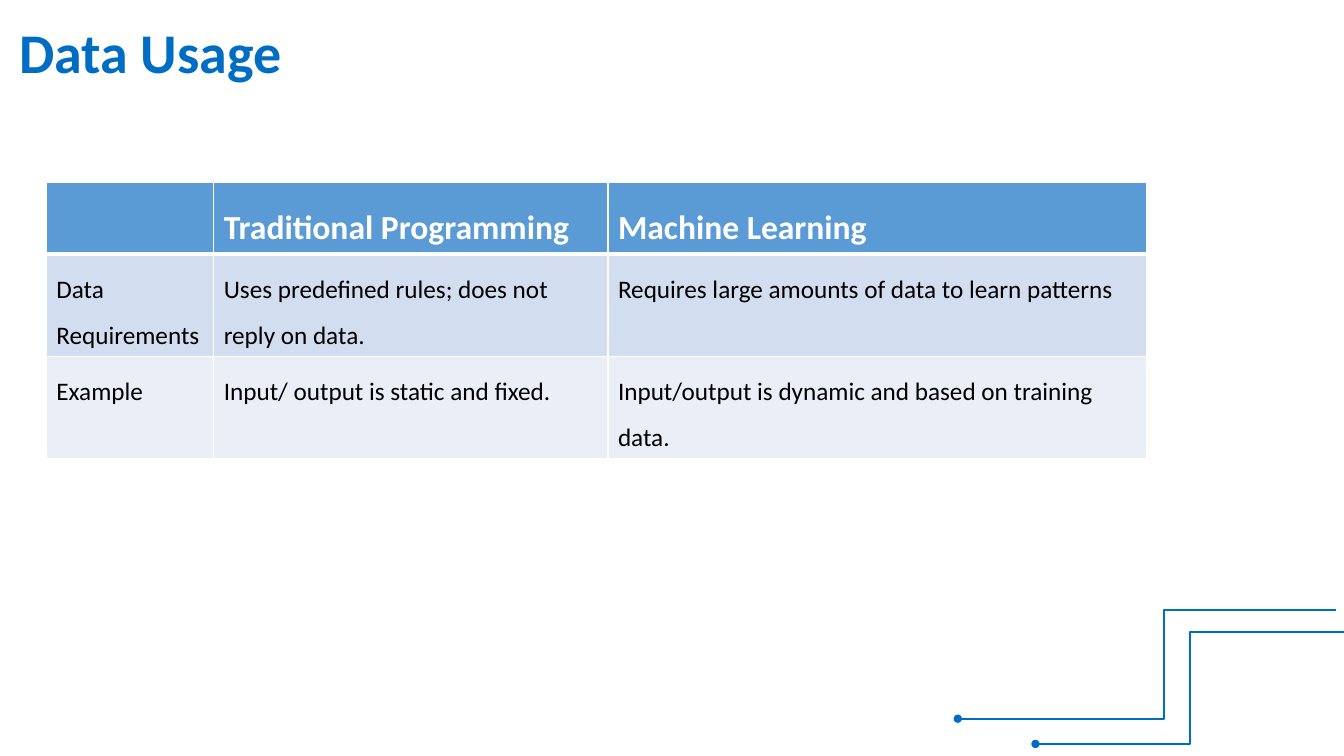
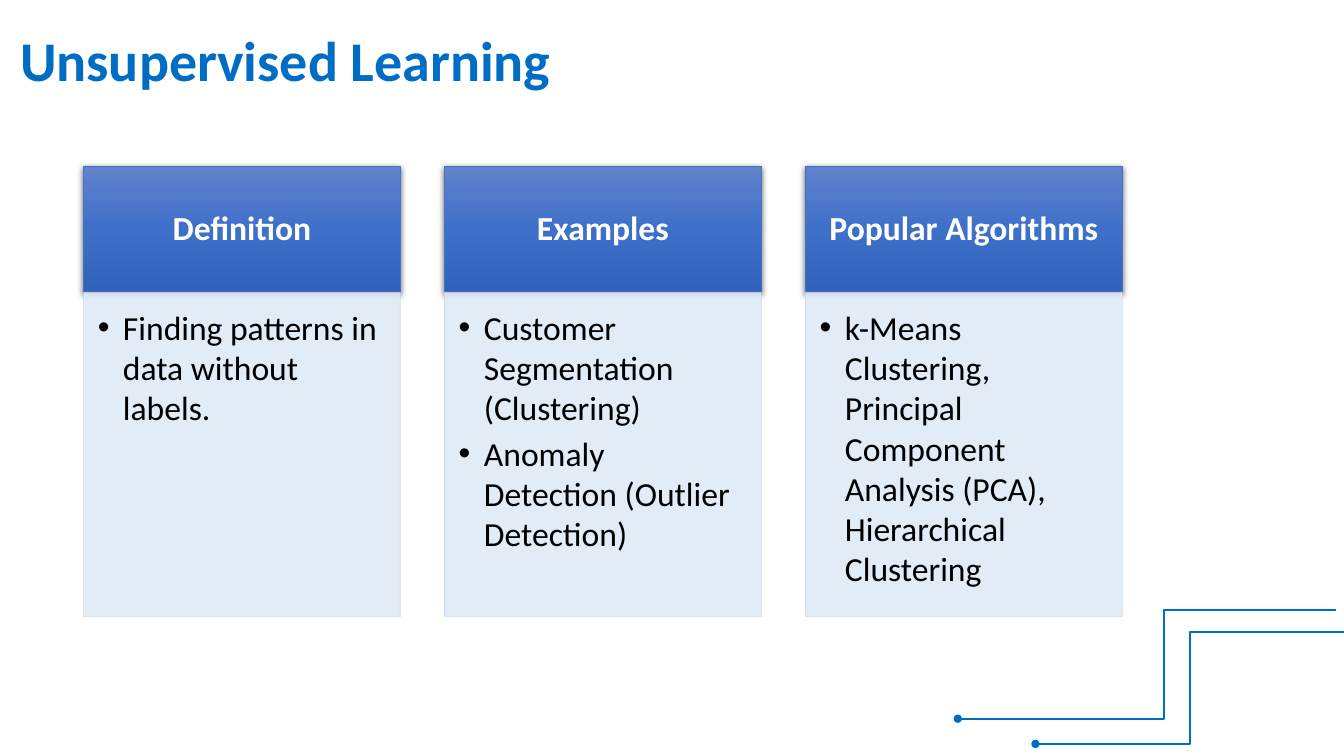
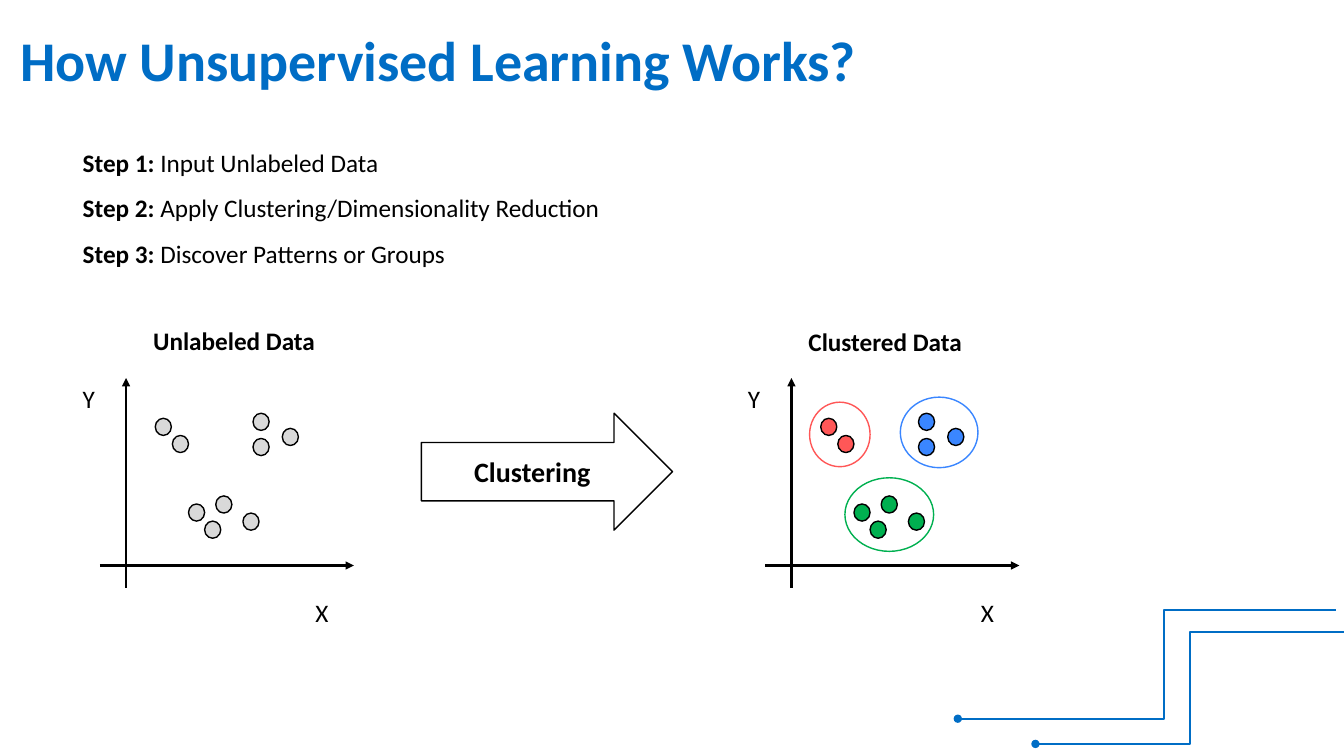
import pptx
import pptx.util
import pptx.dml.color
import pptx.enum.shapes
import pptx.enum.text
import pptx.oxml.ns
import lxml.etree

Inches = pptx.util.Inches
Pt = pptx.util.Pt
RGBColor = pptx.dml.color.RGBColor
Shape = pptx.enum.shapes.MSO_SHAPE
Connector = pptx.enum.shapes.MSO_CONNECTOR
Align = pptx.enum.text.PP_ALIGN
Anchor = pptx.enum.text.MSO_ANCHOR
AutoSize = pptx.enum.text.MSO_AUTO_SIZE
qn = pptx.oxml.ns.qn

FONT = "Calibri"
BLUE = RGBColor(0x00, 0x6D, 0xC5)
BLACK = RGBColor(0x00, 0x00, 0x00)
WHITE = RGBColor(0xFF, 0xFF, 0xFF)
TABLE_HEADER = RGBColor(0x5B, 0x9B, 0xD5)
TABLE_BANDS = [RGBColor(0xD2, 0xDE, 0xEF), RGBColor(0xEA, 0xEF, 0xF7)]
CARD_GRADIENT = [
    (0, RGBColor(0x61, 0x83, 0xCB)),
    (50, RGBColor(0x3E, 0x70, 0xCA)),
    (100, RGBColor(0x30, 0x62, 0xBB)),
]
CARD_EDGE = RGBColor(0x44, 0x72, 0xC4)
CARD_BODY = RGBColor(0xDE, 0xEB, 0xF7)
CARD_BODY_EDGE = RGBColor(0xCF, 0xD5, 0xEA)
GREY = RGBColor(0xD9, 0xD9, 0xD9)
RED = RGBColor(0xFF, 0x57, 0x57)
GREEN = RGBColor(0x00, 0xB0, 0x50)
CLUSTER_BLUE = RGBColor(0x3A, 0x86, 0xFF)

CIRCUIT_LINES = [
    ((13.25, 6.05), (9.5, 7.13), 0.455),
    ((13.33, 6.27), (10.27, 7.38), 0.5),
]

TABLE_COLUMNS = [1.66, 3.91, 5.34]
TABLE_ROWS = [
    ["", "Traditional Programming", "Machine Learning"],
    [
        "Data Requirements",
        "Uses predefined rules; does not reply on data.",
        "Requires large amounts of data to learn patterns",
    ],
    [
        "Example",
        "Input/ output is static and fixed.",
        "Input/output is dynamic and based on training data.",
    ],
]

CARDS = [
    ("Definition", ["Finding patterns in data without labels."]),
    (
        "Examples",
        ["Customer Segmentation (Clustering)", "Anomaly Detection (Outlier Detection)"],
    ),
    (
        "Popular Algorithms",
        ["k-Means Clustering, Principal Component Analysis (PCA), Hierarchical Clustering"],
    ),
]

STEPS = [
    ("Step 1: ", "Input Unlabeled Data"),
    ("Step 2: ", "Apply Clustering/Dimensionality Reduction"),
    ("Step 3: ", "Discover Patterns or Groups"),
]

CLUSTERS = [
    (RED, [(1.54, 4.15), (1.71, 4.32)], (1.43, 3.99, 0.6, 0.64)),
    (CLUSTER_BLUE, [(2.51, 4.1), (2.51, 4.35), (2.8, 4.25)], (2.33, 3.94, 0.77, 0.7)),
    (GREEN, [(1.87, 5), (2.03, 5.17), (2.14, 4.92), (2.41, 5.09)], (1.78, 4.74, 0.88, 0.73)),
]

PLOTS = [
    (0, "Unlabeled Data", (1.42, 3.18, 1.95, 0.4), False),
    (6.6, "Clustered Data", (7.92, 3.19, 1.83, 0.4), True),
]


def inches(values):
    return [Inches(value) for value in values]


def set_font(paragraph, size, color, bold=False):
    font = paragraph.font
    font.name, font.size, font.bold = FONT, Pt(size), bold
    font.color.rgb = color


def add_element(parent, tag, **attributes):
    element = lxml.etree.SubElement(parent, qn(tag))
    for name, value in attributes.items():
        element.set(name, str(value))
    return element


def set_bullet(paragraph, character=None, indent=0):
    properties = paragraph._p.get_or_add_pPr()
    properties.set("marL", str(Inches(indent)))
    properties.set("indent", str(-Inches(indent)))
    if character:
        add_element(properties, "a:buFont", typeface="Arial")
        add_element(properties, "a:buChar", char=character)
    else:
        add_element(properties, "a:buNone")


def add_line(slide, kind, start, end, color, tail):
    line = slide.shapes.add_connector(kind, *inches(start + end))
    line.line.color.rgb = color
    line.line.width = Pt(1.5)
    add_element(line.line._get_or_add_ln(), "a:tailEnd", type=tail)
    add_element(line._element.spPr, "a:effectLst")
    return line


def add_shape(slide, preset, box, fill, edge, width=1):
    shape = slide.shapes.add_shape(preset, *inches(box))
    shape.shadow.inherit = False
    if fill is None:
        shape.fill.background()
    else:
        shape.fill.solid()
        shape.fill.fore_color.rgb = fill
    shape.line.color.rgb = edge
    shape.line.width = Pt(width)
    return shape


def add_label(slide, box, text, bold=False, wrap=True):
    label = slide.shapes.add_textbox(*inches(box))
    label.text_frame.word_wrap = wrap
    label.text_frame.auto_size = AutoSize.SHAPE_TO_FIT_TEXT
    label.text_frame.text = text
    set_font(label.text_frame.paragraphs[0], 18, BLACK, bold)


def set_margins(frame, margins):
    (frame.margin_left, frame.margin_top,
     frame.margin_right, frame.margin_bottom) = inches(margins)


def place(shape, box):
    shape.left, shape.top, shape.width, shape.height = inches(box)


def add_slide(presentation, layout_index, title, left, top):
    slide = presentation.slides.add_slide(presentation.slide_layouts[layout_index])
    place(slide.shapes.title, (left, top, 10.92, 0.77))
    frame = slide.shapes.title.text_frame
    frame.text = title
    frame.auto_size = AutoSize.NONE
    frame.vertical_anchor = Anchor.TOP
    frame.paragraphs[0].alignment = Align.LEFT
    set_font(frame.paragraphs[0], 40, BLUE, True)
    for start, end, bend in CIRCUIT_LINES:
        line = add_line(slide, Connector.ELBOW, start, end, BLUE, "oval")
        guides = line._element.spPr.find(qn("a:prstGeom")).find(qn("a:avLst"))
        add_element(guides, "a:gd", name="adj1", fmla=f"val {round(bend * 100000)}")
    return slide


def set_borders(cell, widths):
    properties = cell._tc.get_or_add_tcPr()
    for side, width in widths.items():
        border = add_element(properties, f"a:ln{side}", w=Pt(width))
        add_element(add_element(border, "a:solidFill"), "a:srgbClr", val=WHITE)


def build_table(slide):
    frame = slide.shapes.add_table(
        len(TABLE_ROWS), len(TABLE_COLUMNS), *inches((0.46, 1.81, 10.92, 2.54)))
    table = frame.table
    for column, width in zip(table.columns, TABLE_COLUMNS):
        column.width = Inches(width)
    for row_index, texts in enumerate(TABLE_ROWS):
        table.rows[row_index].height = Inches(0.41)
        header = row_index == 0
        for column_index, text in enumerate(texts):
            cell = table.cell(row_index, column_index)
            set_borders(cell, {"L": 1, "R": 1, "T": 3 if row_index == 1 else 1,
                               "B": 3 if header else 1})
            cell.fill.solid()
            cell.fill.fore_color.rgb = (
                TABLE_HEADER if header else TABLE_BANDS[(row_index - 1) % 2])
            cell.text = text
            paragraph = cell.text_frame.paragraphs[0]
            paragraph.line_spacing = 1.5
            set_font(paragraph, 24 if header else 18, WHITE if header else BLACK, header)


def add_card_header(slide, box, heading):
    shape = add_shape(slide, Shape.RECTANGLE, box, None, CARD_EDGE, 0.5)
    shape.fill.gradient()
    shape.fill.gradient_angle = 270
    properties = shape._element.spPr
    stops = properties.find(qn("a:gradFill")).find(qn("a:gsLst"))
    stops.clear()
    for position, color in CARD_GRADIENT:
        stop = add_element(stops, "a:gs", pos=position * 1000)
        add_element(stop, "a:srgbClr", val=color)
    shadow = add_element(
        properties.find(qn("a:effectLst")), "a:outerShdw", blurRad=Pt(4.5),
        dist=Pt(1.5), dir=5400000, algn="ctr", rotWithShape=0)
    add_element(add_element(shadow, "a:srgbClr", val=BLACK), "a:alpha", val=63000)
    frame = shape.text_frame
    set_margins(frame, (0.19, 0.11, 0.19, 0.11))
    frame.text = heading
    frame.vertical_anchor = Anchor.MIDDLE
    frame.paragraphs[0].alignment = Align.CENTER
    frame.paragraphs[0].line_spacing = 0.9
    set_font(frame.paragraphs[0], 24, WHITE, True)


def add_card_body(slide, box, items):
    shape = add_shape(slide, Shape.RECTANGLE, box, CARD_BODY, CARD_BODY_EDGE, 0.5)
    for color in shape._element.spPr.iter(qn("a:srgbClr")):
        add_element(color, "a:alpha", val=90000)
    frame = shape.text_frame
    set_margins(frame, (0.14, 0.14, 0.19, 0.21))
    frame.vertical_anchor = Anchor.TOP
    frame.text = "\n".join(items)
    for paragraph in frame.paragraphs:
        paragraph.alignment = Align.LEFT
        paragraph.space_after = Pt(3.6)
        set_bullet(paragraph, "•", 0.25)
        set_font(paragraph, 24, BLACK)


def build_cards(slide):
    left, top, width, pitch = 0.83, 1.65, 3.14, 3.58
    header_height, body_height = 1.25, 3.22
    for index, (heading, items) in enumerate(CARDS):
        card_left = left + index * pitch
        add_card_header(slide, (card_left, top, width, header_height), heading)
        add_card_body(slide, (card_left, top + header_height, width, body_height), items)


def build_steps(slide):
    body = slide.placeholders[1]
    place(body, (0.72, 1.26, 7.19, 1.42))
    frame = body.text_frame
    frame.auto_size = AutoSize.NONE
    for index, (step, action) in enumerate(STEPS):
        paragraph = frame.add_paragraph() if index else frame.paragraphs[0]
        paragraph.line_spacing = 1.5
        paragraph.space_before = Pt(0)
        set_bullet(paragraph)
        set_font(paragraph, 18, BLACK)
        run = paragraph.add_run()
        run.text = step
        run.font.bold = True
        paragraph.add_run().text = action


def build_plot(slide, offset, caption, caption_box, clustered):
    axis_x, axis_y = 1.25 + offset, 5.61
    add_line(slide, Connector.STRAIGHT, (axis_x, 5.83), (axis_x, 3.75), BLACK, "triangle")
    add_line(slide, Connector.STRAIGHT, (0.99 + offset, axis_y), (3.51 + offset, axis_y),
             BLACK, "triangle")
    add_label(slide, (3.03 + offset, 5.88, 0.33, 0.4), "X", wrap=False)
    add_label(slide, (0.72 + offset, 3.75, 0.32, 0.4), "Y", wrap=False)
    add_label(slide, caption_box, caption, bold=True)
    for color, points, (left, top, width, height) in CLUSTERS:
        for x, y in points:
            add_shape(slide, Shape.OVAL, (x + offset, y, 0.16, 0.17),
                      color if clustered else GREY, BLACK)
        if clustered:
            add_shape(slide, Shape.OVAL, (left + offset, top, width, height), None, color)


def build_clustering(slide):
    build_steps(slide)
    for plot in PLOTS:
        build_plot(slide, *plot)
    arrow = add_shape(slide, Shape.RIGHT_ARROW, (4.18, 4.1, 2.49, 1.16), None, BLACK)
    arrow.text_frame.text = "Clustering"
    arrow.text_frame.vertical_anchor = Anchor.MIDDLE
    arrow.text_frame.paragraphs[0].alignment = Align.CENTER
    set_font(arrow.text_frame.paragraphs[0], 20, BLACK, True)


def main():
    presentation = pptx.Presentation()
    presentation.slide_width, presentation.slide_height = inches((13.33, 7.5))
    build_table(add_slide(presentation, 5, "Data Usage", 0.09, 0.12))
    build_cards(add_slide(presentation, 5, "Unsupervised Learning", 0.1, 0.2))
    build_clustering(add_slide(presentation, 1, "How Unsupervised Learning Works?", 0.1, 0.2))
    presentation.save("out.pptx")


if __name__ == "__main__":
    main()
